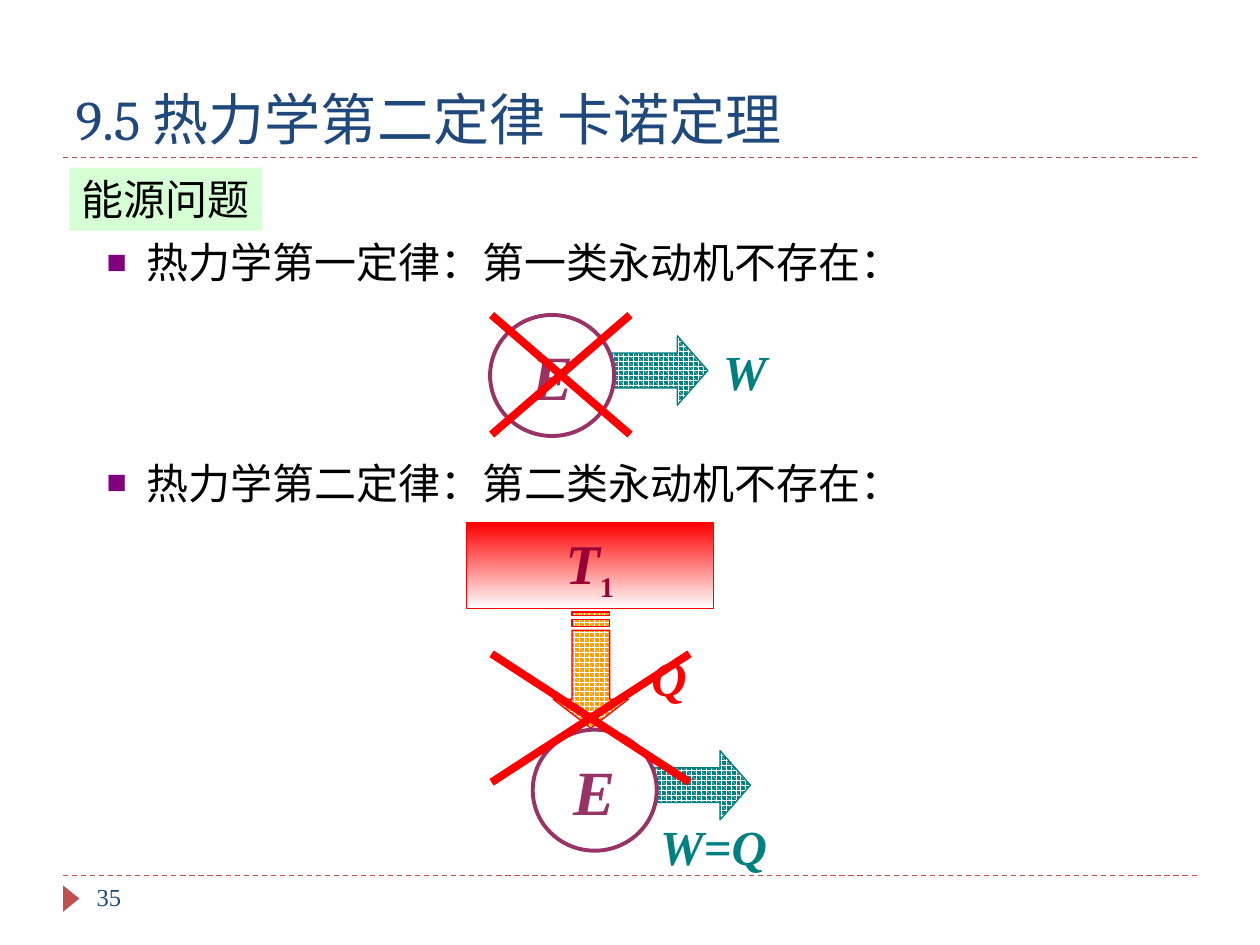
"""Build the slide on the energy question and the two laws of thermodynamics."""
from lxml import etree
from pptx import Presentation
from pptx import util as u
from pptx.dml.color import RGBColor
from pptx.enum import dml, shapes, text
from pptx.oxml import ns

NAVY = RGBColor(0x1F, 0x49, 0x7D)
BRICK = RGBColor(0xC0, 0x50, 0x4D)
MINT = RGBColor(0xCC, 0xFF, 0xCC)
PURPLE = RGBColor(0x80, 0x00, 0x80)
PLUM = RGBColor(0x99, 0x33, 0x66)
CRIMSON = RGBColor(0x99, 0x00, 0x33)
TEAL = RGBColor(0x00, 0x80, 0x80)
ORANGE = RGBColor(0xFF, 0x99, 0x00)
RED = RGBColor(0xFF, 0x00, 0x00)
BLACK = RGBColor(0x00, 0x00, 0x00)
WHITE = RGBColor(0xFF, 0xFF, 0xFF)
SERIF = "Times New Roman"


def to_cm(box):
    """Turn a sequence of centimetre numbers into lengths."""
    return [u.Cm(value) for value in box]


def add_span(para, words, size, color, font=SERIF, bold=False, italic=False):
    """Append one formatted run to a paragraph."""
    span = para.add_run()
    span.text = words
    span.font.name, span.font.size = font, u.Pt(size)
    span.font.bold, span.font.italic = bold, italic
    span.font.color.rgb = color
    return span


def add_label(page, box, words, size, color, wrap=False, **style):
    """Place a one-line text box and return its paragraph."""
    frame = page.shapes.add_textbox(*to_cm(box)).text_frame
    frame.word_wrap = wrap
    para = frame.paragraphs[0]
    add_span(para, words, size, color, **style)
    return para


def add_panel(page, kind, box, line=None, width=0.75):
    """Place a preset shape with centred, unwrapped text."""
    panel = page.shapes.add_shape(kind, *to_cm(box))
    panel.shadow.inherit = False
    if line is None:
        panel.line.fill.background()
    else:
        panel.line.color.rgb, panel.line.width = line, u.Pt(width)
    panel.text_frame.word_wrap = False
    panel.text_frame.vertical_anchor = text.MSO_ANCHOR.MIDDLE
    panel.text_frame.paragraphs[0].alignment = text.PP_ALIGN.CENTER
    return panel


def add_rule(page, start, end, color, width, dash=None):
    """Draw a straight line between two points."""
    rule = page.shapes.add_connector(
        shapes.MSO_CONNECTOR.STRAIGHT, *to_cm(start + end))
    rule.line.color.rgb, rule.line.width = color, u.Pt(width)
    rule.line.dash_style = dash
    etree.SubElement(rule._element.spPr, ns.qn("a:effectLst"))


def add_cross(page, box):
    """Strike out a box with two red diagonals."""
    left, top, width, height = box
    right, bottom = left + width, top + height
    add_rule(page, (right, top), (left, bottom), RED, 4.5)
    add_rule(page, (left, top), (right, bottom), RED, 4.5)


def add_striped_arrow(page, box, color, line, down=False):
    """Draw a patterned arrow with a striped tail, pointing right or down."""
    left, top, width, height = box

    def place(along, across):
        x, y = (1 - across, along) if down else (along, across)
        return u.Cm(left + x * width), u.Cm(top + y * height)

    head = [(0.75, 0), (0.75, 0.25), (5 / 32, 0.25), (5 / 32, 0.75),
            (0.75, 0.75), (0.75, 1), (1, 0.5)]
    stripes = [[(a, 0.25), (a, 0.75), (b, 0.75), (b, 0.25)]
               for a, b in ((2 / 32, 4 / 32), (0, 1 / 32))]
    builder = page.shapes.build_freeform(*place(*head[0]))
    builder.add_line_segments([place(*p) for p in head[1:]])
    for stripe in stripes:
        builder.move_to(*place(*stripe[0]))
        builder.add_line_segments([place(*p) for p in stripe[1:]])
    arrow = builder.convert_to_shape()
    arrow.shadow.inherit = False
    arrow.fill.patterned()
    arrow.fill.pattern = dml.MSO_PATTERN.SPHERE
    arrow.fill.fore_color.rgb, arrow.fill.back_color.rgb = WHITE, color
    arrow.line.color.rgb, arrow.line.width = line, u.Pt(0.75)


def add_engine(page, box, work, work_offset):
    """Draw an engine circle with its work arrow and work label."""
    left, top, width, height = box
    add_striped_arrow(page, (left + 1.93, top + 0.42, 2.46, 1.4), TEAL, TEAL)
    label_box = (left + work_offset[0], top + work_offset[1], 0.8 + 0.62 * len(work), 1.45)
    add_label(page, label_box, work, 28, TEAL, bold=True, italic=True)
    circle = add_panel(page, shapes.MSO_SHAPE.OVAL, box, PLUM, 2.25)
    circle.fill.solid()
    circle.fill.fore_color.rgb = WHITE
    add_span(circle.text_frame.paragraphs[0], "E", 36, PLUM, bold=True, italic=True)


def add_reservoir(page, box):
    """Draw the heat reservoir with the heat flowing down out of it."""
    left, top, width, height = box
    tank = add_panel(page, shapes.MSO_SHAPE.RECTANGLE, box, RED)
    tank.fill.gradient()
    tank.fill.gradient_angle = 270
    for stop, color in zip(tank.fill.gradient_stops, (RED, WHITE)):
        stop.color.rgb = color
    para = tank.text_frame.paragraphs[0]
    add_span(para, "T", 32, CRIMSON, bold=True, italic=True)
    index = add_span(para, "1", 28, CRIMSON, bold=True)
    index._r.get_or_add_rPr().set("baseline", "-25000")
    add_striped_arrow(page, (left + 1.75, top + height + 0.07, 1.52, 2.34), ORANGE, RED, down=True)
    add_label(page, (left + 3.48, top + 2.39, 1.22, 1.45), "Q", 28, RED, bold=True, italic=True)


def add_law(page, box, words):
    """Place a statement with a square bullet."""
    para = add_label(page, box, words, 24, BLACK, wrap=True)
    props = para._p.get_or_add_pPr()
    props.set("marL", str(u.Cm(0.8)))
    props.set("indent", str(-u.Cm(0.8)))
    color = etree.SubElement(props, ns.qn("a:buClr"))
    etree.SubElement(color, ns.qn("a:srgbClr"), val=str(PURPLE))
    etree.SubElement(props, ns.qn("a:buSzPct"), val="80000")
    etree.SubElement(props, ns.qn("a:buFont"), typeface=SERIF)
    etree.SubElement(props, ns.qn("a:buChar"), char="■")


def add_heading(page, box):
    """Place the title and the dashed rule below it."""
    left, top, width, height = box
    title = page.shapes.title
    title.left, title.top, title.width, title.height = to_cm(box)
    title.text_frame.vertical_anchor = text.MSO_ANCHOR.BOTTOM
    para = title.text_frame.paragraphs[0]
    para.alignment = text.PP_ALIGN.LEFT
    add_span(para, "9.5 热力学第二定律 卡诺定理", 32, NAVY, "Cambria")
    bottom = top + height
    add_rule(page, (left, bottom), (left + width, bottom), BRICK, 0.75, dml.MSO_LINE.DASH)


def add_footer(page, box):
    """Place the footer rule, marker and page number."""
    left, top, width, height = box
    add_rule(page, (left, top), (left + width, top), BRICK, 0.75, dml.MSO_LINE.DASH)
    marker = add_panel(page, shapes.MSO_SHAPE.ISOSCELES_TRIANGLE,
                       (left - 0.1, top + 0.3, 0.53, 0.33))
    marker.rotation = 90
    marker.fill.solid()
    marker.fill.fore_color.rgb = BRICK
    add_label(page, (left + 0.43, top, 5.5, height), "35", 14, NAVY, wrap=True)


def add_topic(page, box):
    """Place the tinted topic tag."""
    tag = add_panel(page, shapes.MSO_SHAPE.RECTANGLE, box)
    tag.fill.solid()
    tag.fill.fore_color.rgb = MINT
    tint = tag._element.spPr.find(".//" + ns.qn("a:srgbClr"))
    etree.SubElement(tint, ns.qn("a:alpha"), val="80000")
    add_span(tag.text_frame.paragraphs[0], "能源问题", 24, BLACK)


def main():
    """Assemble and save the deck."""
    deck = Presentation()
    deck.slide_width, deck.slide_height = to_cm((25.4, 19.05))
    page = deck.slides.add_slide(deck.slide_layouts[5])
    add_heading(page, (1.27, 0.64, 22.86, 2.54))
    add_footer(page, (1.27, 17.65, 22.86, 1.02))
    add_topic(page, (1.4, 3.38, 3.89, 1.27))
    add_law(page, (1.9, 4.65, 20.8, 1.27), "热力学第一定律：第一类永动机不存在：")
    add_engine(page, (9.88, 6.35, 2.5, 2.44), "W", (4.45, 0.41))
    add_cross(page, (9.91, 6.35, 2.79, 2.41))
    add_law(page, (1.9, 9.09, 20.8, 1.27), "热力学第二定律：第二类永动机不存在：")
    add_reservoir(page, (9.4, 10.54, 4.98, 1.73))
    add_engine(page, (10.74, 14.71, 2.5, 2.44), "W=Q", (2.32, 1.62))
    add_cross(page, (9.91, 13.18, 3.99, 2.59))
    deck.save("out.pptx")


if __name__ == "__main__":
    main()
